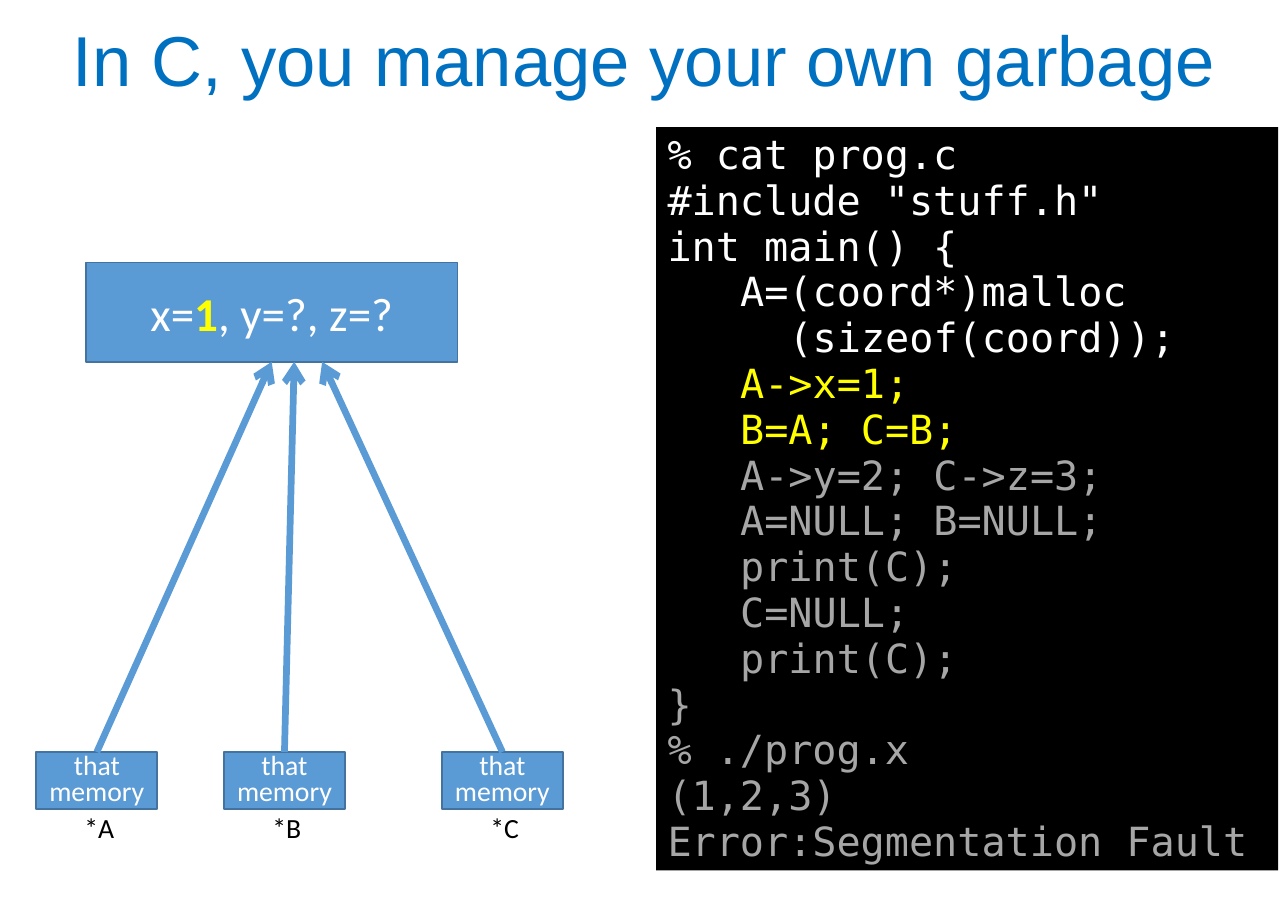
from dataclasses import dataclass

from lxml import etree
from pptx import Presentation
from pptx.dml.color import RGBColor
from pptx.enum import shapes, text
from pptx.oxml import ns
from pptx.util import Pt


@dataclass(frozen=True)
class Theme:
    """Hold the colours, fonts and type sizes."""
    blue: str = "0070C0"
    fill: str = "5B9BD5"
    edge: str = "43739E"
    white: str = "FFFFFF"
    black: str = "000000"
    gray: str = "A6A6A6"
    yellow: str = "FFFF00"
    head: str = "Arial"
    body: str = "Calibri"
    mono: str = "DejaVu Sans Mono"
    title: float = 42
    code: float = 23.9
    state: float = 28
    cell: float = 16.5


T = Theme()
STEP = 14.4
CODE = (
    (T.white, 0, "% cat prog.c"),
    (T.white, 0, '#include "stuff.h"'),
    (T.white, 0, "int main() {"),
    (T.white, 3, "A=(coord*)malloc"),
    (T.white, 5, "(sizeof(coord));"),
    (T.yellow, 3, "A->x=1;"),
    (T.yellow, 3, "B=A; C=B;"),
    (T.gray, 3, "A->y=2; C->z=3;"),
    (T.gray, 3, "A=NULL; B=NULL;"),
    (T.gray, 3, "print(C);"),
    (T.gray, 3, "C=NULL;"),
    (T.gray, 3, "print(C);"),
    (T.gray, 0, "}"),
    (T.gray, 0, "% ./prog.x"),
    (T.gray, 0, "(1,2,3)"),
    (T.gray, 0, "Error:Segmentation Fault"),
)


def style(run, face, size, color, bold=False):
    """Format one run."""
    font = run.font
    font.name, font.size, font.bold = face, Pt(size), bold
    font.color.rgb = RGBColor.from_string(color)


def rect(slide, box, fill, edge=None):
    """Add a flat rectangle with an optional edge."""
    shape = slide.shapes.add_shape(shapes.MSO_SHAPE.RECTANGLE, *map(Pt, box))
    shape.shadow.inherit = False
    shape.fill.solid()
    shape.fill.fore_color.rgb = RGBColor.from_string(fill)
    if edge:
        shape.line.color.rgb = RGBColor.from_string(edge)
        shape.line.width = Pt(1)
    else:
        shape.line.fill.background()
    return shape


def write(shape, parts, face, size, space=1.0):
    """Write one centred paragraph from (words, colour, bold) parts."""
    frame = shape.text_frame
    frame.word_wrap = True
    frame.vertical_anchor = text.MSO_ANCHOR.MIDDLE
    para = frame.paragraphs[0]
    para.alignment = text.PP_ALIGN.CENTER
    para.line_spacing = space
    for words, color, bold in parts:
        run = para.add_run()
        run.text = words
        style(run, face, size, color, bold)


def label(slide, box, words, face, size, color, space=1.0):
    """Add a centred text box."""
    shape = slide.shapes.add_textbox(*map(Pt, box))
    write(shape, [(words, color, False)], face, size, space)


def listing(slide, box):
    """Draw the terminal panel with its indented code."""
    frame = rect(slide, box, T.black).text_frame
    frame.word_wrap = True
    frame.vertical_anchor = text.MSO_ANCHOR.TOP
    frame.margin_left = frame.margin_right = Pt(6.8)
    frame.margin_top = frame.margin_bottom = Pt(3.4)
    frame.text = "\n".join(words for _, _, words in CODE)
    for para, (color, depth, _) in zip(frame.paragraphs, CODE):
        para.alignment = text.PP_ALIGN.LEFT
        para.line_spacing = 0.95
        para._p.get_or_add_pPr().set("marL", str(Pt(depth * STEP)))
        style(para.runs[0], T.mono, T.code, color)


def arrow(slide, cell, goal, end):
    """Point from the top of a cell to the bottom edge of the goal."""
    line = slide.shapes.add_connector(shapes.MSO_CONNECTOR.STRAIGHT, 0, 0, *map(Pt, end))
    line.begin_connect(cell, 0)
    if abs(line.end_x - goal.left - goal.width // 2) < Pt(1):
        line.end_connect(goal, 2)
    line.line.color.rgb = RGBColor.from_string(T.fill)
    line.line.width = Pt(4)
    tip = etree.SubElement(line.line._get_or_add_ln(), ns.qn("a:tailEnd"))
    tip.set("type", "arrow")
    etree.SubElement(line._element.spPr, ns.qn("a:effectLst"))


def memory(slide, box):
    """Draw the shared record and the three pointers to it."""
    left, top, width, height = box
    goal = rect(slide, (left + 29.5, top, 221, 59), T.fill, T.edge)
    parts = [("x=", T.white, False), ("1", T.yellow, True), (", y=?, z=?", T.white, False)]
    write(goal, parts, T.body, T.state)
    base = top + height - 34
    for name, x, end in (("*A", 0, 140), ("*B", 111.6, 153.4), ("*C", 241.2, 170)):
        cell = rect(slide, (left + x, base, 72, 34), T.fill, T.edge)
        write(cell, [("that memory", T.white, False)], T.body, T.cell, 0.8)
        label(slide, (left + x + 1.4, base + 28, 72, 34), name, T.body, T.cell, T.black)
        arrow(slide, cell, goal, (left + end, top + 59))


def main():
    """Build and save the slide."""
    deck = Presentation()
    deck.slide_width, deck.slide_height = Pt(766), Pt(540)
    slide = deck.slides.add_slide(deck.slide_layouts[6])
    listing(slide, (390.2, 75.6, 370, 442))
    label(slide, (0, 0, 766, 75.6), "In C, you manage your own garbage",
          T.head, T.title, T.blue, 0.9)
    memory(slide, (21.6, 156.2, 313.2, 325))
    deck.save("out.pptx")


if __name__ == "__main__":
    main()
